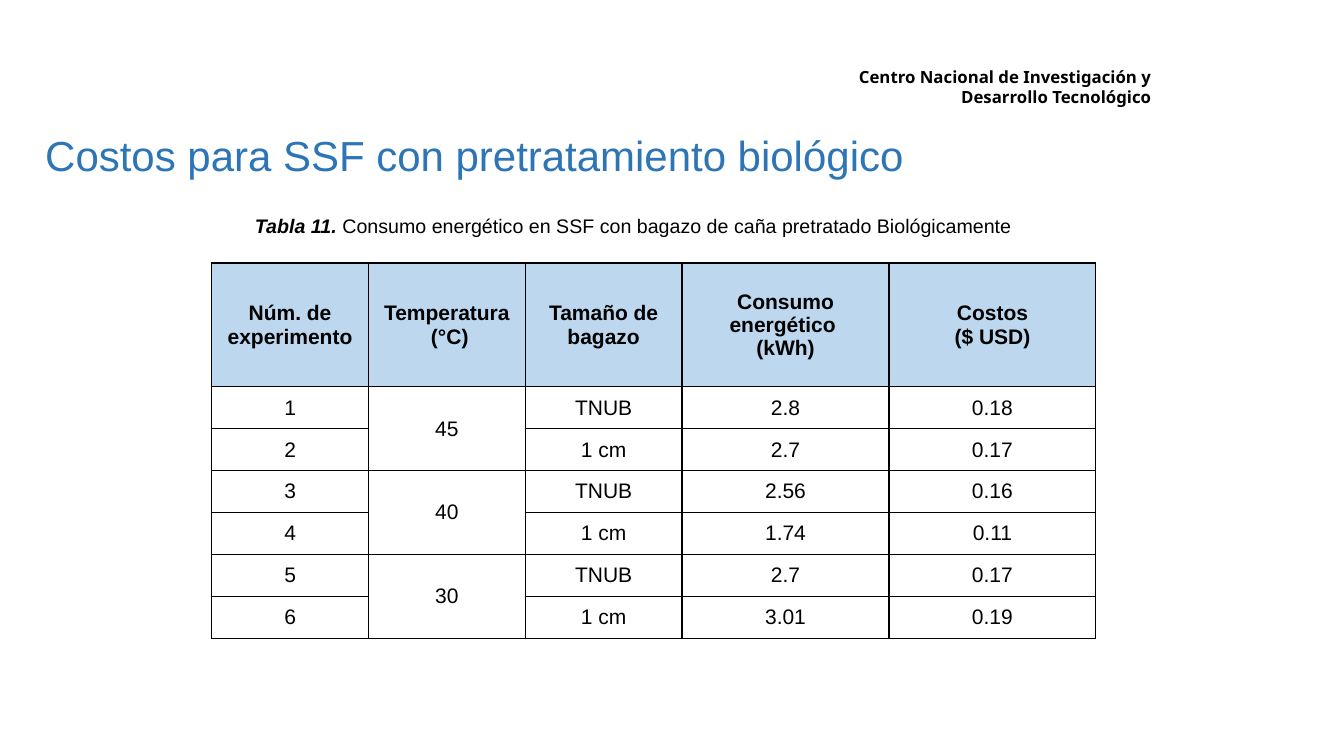
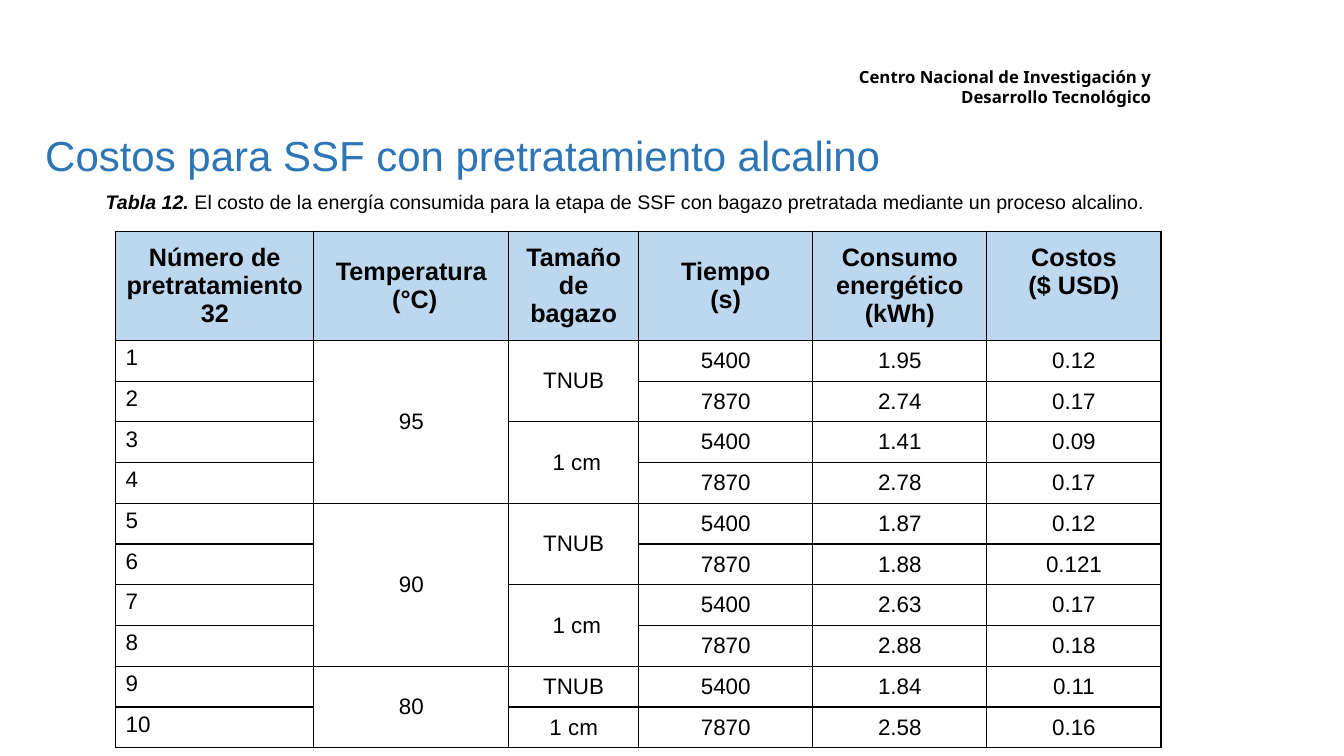
"""Builds two slides with cost tables for SSF pretreatments."""
from lxml import etree
from pptx import Presentation
from pptx import util as u
from pptx.dml.color import RGBColor
from pptx.enum import text
from pptx.oxml import ns

Pt = u.Pt
BLACK, BLUE, HEAD, WHITE = "000000", "2E75B6", "BDD7EE", "FFFFFF"
AL, MID = text.PP_ALIGN, text.MSO_ANCHOR.MIDDLE


def write(tf, paras, align, color=BLACK, spacing=None, **base):
    """Write paragraphs, each a list of (text, font values) runs."""
    tf.word_wrap = True
    for i, runs in enumerate(paras):
        p = tf.paragraphs[0] if i == 0 else tf.add_paragraph()
        p.alignment, p.line_spacing = align, spacing
        for words, extra in runs:
            r = p.add_run()
            r.text = words
            r.font.color.rgb = RGBColor.from_string(color)
            for key, value in {"name": "Arial", **base, **extra}.items():
                setattr(r.font, key, value)


def border(cell):
    """Draw a thin black line on all four sides of a cell."""
    tcPr = cell._tc.get_or_add_tcPr()
    for i, side in enumerate(("a:lnL", "a:lnR", "a:lnT", "a:lnB")):
        ln = etree.Element(ns.qn(side), w=str(Pt(1)))
        fill = etree.SubElement(ln, ns.qn("a:solidFill"))
        etree.SubElement(fill, ns.qn("a:srgbClr"), val=BLACK)
        tcPr.insert(i, ln)


slides = [
    dict(
        title="Costos para SSF con pretratamiento biológico",
        label="Tabla 11.",
        caption=" Consumo energético en SSF con bagazo de caña pretratado Biológicamente",
        caption_at=(175, 149, 583, 24.5),
        table_at=(151.2, 187.9),
        widths=[112, 112, 112, 147.8, 147.8],
        heights=(88, 30),
        sizes=(15, 15),
        margins=dict(margin_left=Pt(5), margin_right=Pt(5),
                     margin_top=Pt(0.7), margin_bottom=Pt(0)),
        number_style=(AL.CENTER, MID),
        rows=[
            ["Núm. de experimento", "Temperatura\n (°C)", "Tamaño de bagazo",
             "Consumo energético \n(kWh)", "Costos\n($ USD)"],
            ["1", "45", "TNUB", "2.8", "0.18"],
            ["2", None, "1 cm", "2.7", "0.17"],
            ["3", "40", "TNUB", "2.56", "0.16"],
            ["4", None, "1 cm", "1.74", "0.11"],
            ["5", "30", "TNUB", "2.7", "0.17"],
            ["6", None, "1 cm", "3.01", "0.19"],
        ],
    ),
    dict(
        title="Costos para SSF con pretratamiento alcalino",
        label="Tabla 12.",
        caption=" El costo de la energía consumida para la etapa de SSF con bagazo "
                "pretratada mediante un proceso alcalino.",
        caption_at=(68.4, 131.8, 891, 24.5),
        table_at=(82.6, 165.4),
        widths=[141.6, 139.2, 92.8, 124.4, 124.4, 124.4],
        heights=(77.8, 29.1),
        sizes=(18, 16),
        margins={},
        number_style=(AL.LEFT, text.MSO_ANCHOR.TOP),
        rows=[
            ["Número de pretratamiento32", "Temperatura\n (°C)", "Tamaño de bagazo",
             "Tiempo\n(s)", "Consumo energético (kWh)", "Costos\n($ USD)"],
            ["1", "95", "TNUB", "5400", "1.95", "0.12"],
            ["2", None, None, "7870", "2.74", "0.17"],
            ["3", None, " 1 cm", "5400", "1.41", "0.09"],
            ["4", None, None, "7870", "2.78", "0.17"],
            ["5", "90", "TNUB", "5400", "1.87", "0.12"],
            ["6", None, None, "7870", "1.88", "0.121"],
            ["7", None, " 1 cm", "5400", "2.63", "0.17"],
            ["8", None, None, "7870", "2.88", "0.18"],
            ["9", "80", "TNUB", "5400", "1.84", "0.11"],
            ["10", None, "1 cm", "7870", "2.58", "0.16"],
        ],
    ),
]

prs = Presentation()
prs.slide_width, prs.slide_height = Pt(960), Pt(540)

for d in slides:
    s = prs.slides.add_slide(prs.slide_layouts[6])

    sp = s.shapes.add_textbox(Pt(565.2), Pt(43.9), Pt(264.2), Pt(36))
    write(sp.text_frame,
          [[("Centro Nacional de Investigación y Desarrollo Tecnológico", {})]],
          AL.RIGHT, name="Noto Sans", size=Pt(12), bold=True)

    sp = s.shapes.add_textbox(*map(Pt, d["caption_at"]))
    write(sp.text_frame,
          [[(d["label"], dict(bold=True, italic=True)), (d["caption"], {})]],
          AL.LEFT, size=Pt(14))

    rows, widths = d["rows"], d["widths"]
    head_h, body_h = d["heights"]
    height = head_h + body_h * (len(rows) - 1)
    tb = s.shapes.add_table(len(rows), len(widths), *map(Pt, d["table_at"]),
                            Pt(sum(widths)), Pt(height)).table
    tb.first_row = tb.horz_banding = False
    for col, w in zip(tb.columns, widths):
        col.width = Pt(w)
    for i, row in enumerate(tb.rows):
        row.height = Pt(body_h if i else head_h)

    for i, values in enumerate(rows):
        for j, value in enumerate(values):
            cell = tb.cell(i, j)
            cell.fill.solid()
            cell.fill.fore_color.rgb = RGBColor.from_string(WHITE if i else HEAD)
            border(cell)
            for key, margin in d["margins"].items():
                setattr(cell, key, margin)
            if value is None:
                continue
            align, anchor = d["number_style"] if i and j == 0 else (AL.CENTER, MID)
            cell.vertical_anchor = anchor
            write(cell.text_frame, [[(line, {})] for line in value.split("\n")],
                  align, size=Pt(d["sizes"][min(i, 1)]), bold=i == 0)
            last = i
            while last + 1 < len(rows) and rows[last + 1][j] is None:
                last += 1
            if last > i:
                cell.merge(tb.cell(last, j))

    if not d["margins"]:
        tb.cell(0, len(widths) - 1).margin_bottom = Pt(24.3)

    sp = s.shapes.add_textbox(Pt(25.2), Pt(78.5), Pt(720.7), Pt(69.1))
    sp.text_frame.vertical_anchor = MID
    write(sp.text_frame, [[(d["title"], {})]], AL.JUSTIFY, BLUE, 0.9, size=Pt(30))

prs.save("out.pptx")
